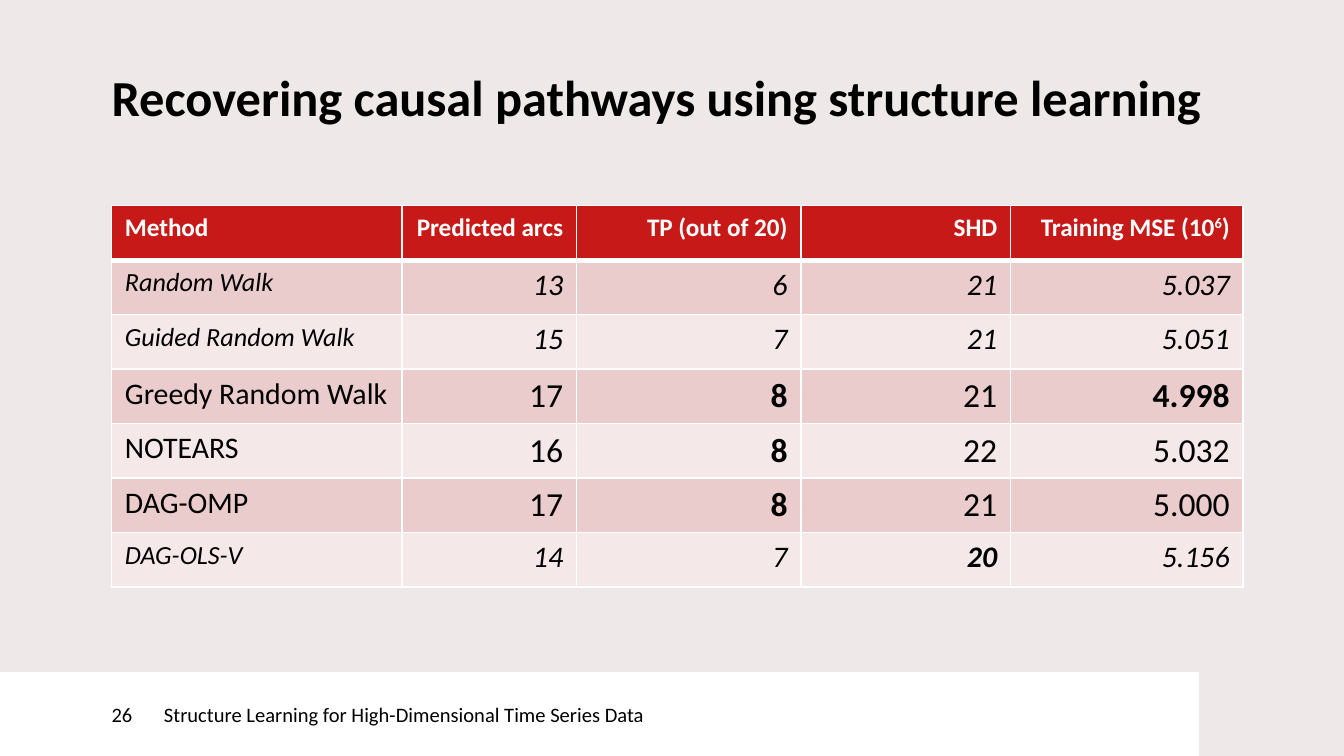
"""Build the slide that compares structure learning methods."""
from lxml.etree import SubElement
from pptx import Presentation
from pptx.dml.color import RGBColor
from pptx.enum.shapes import MSO_SHAPE as Preset
from pptx.enum.text import MSO_ANCHOR as Anchor, MSO_AUTO_SIZE as AutoSize, PP_ALIGN as Align
from pptx.oxml.ns import qn
from pptx.util import Inches, Pt

BLACK = RGBColor(0x00, 0x00, 0x00)
WHITE = RGBColor(0xFF, 0xFF, 0xFF)
BACKDROP = RGBColor(0xEE, 0xE8, 0xE8)
RED = RGBColor(0xC8, 0x19, 0x19)
BANDS = (RGBColor(0xEB, 0xCC, 0xCC), RGBColor(0xF5, 0xE8, 0xE8))

WIDTH = 10
HEIGHT = WIDTH * 9 / 16
MARGIN = 0.83
FOOTER_TOP, FOOTER_SPLIT, FOOTER_END = 5, 1.22, 8.92
COLUMN_WIDTHS = (2.16, 1.3, 1.67, 1.56, 1.73)
TABLE_TOP, TABLE_HEIGHT = 1.53, 2.84

HEADINGS = (
    (("Method", False),),
    (("Predicted arcs", False),),
    (("TP (out of 20)", False),),
    (("SHD", False),),
    (("Training MSE (10", False), ("6", True), (")", False)),
)
RESULTS = (
    ("Random Walk", "13", "6", "21", "5.037"),
    ("Guided Random Walk", "15", "7", "21", "5.051"),
    ("Greedy Random Walk", "17", "8", "21", "4.998"),
    ("NOTEARS", "16", "8", "22", "5.032"),
    ("DAG-OMP", "17", "8", "21", "5.000"),
    ("DAG-OLS-V", "14", "7", "20", "5.156"),
)
LEADING_METHODS = {"Greedy Random Walk", "NOTEARS", "DAG-OMP"}
BEST_SCORES = {"8", "20", "4.998"}


def add_run(paragraph, text, size, color=BLACK, bold=False, italic=False, raised=False):
    """Append one formatted run to a paragraph."""
    run = paragraph.add_run()
    run.text = text
    font = run.font
    font.name, font.size, font.bold, font.italic = "Calibri", Pt(size), bold, italic
    font.color.rgb = color
    if raised:
        run._r.get_or_add_rPr().set("baseline", "30000")


def clear_insets(frame, left=0):
    """Remove the insets of a text frame, except for a given left one."""
    frame.margin_left = Inches(left)
    frame.margin_top = frame.margin_right = frame.margin_bottom = 0


def add_title(slide, text):
    """Place and fill the title placeholder."""
    title = slide.shapes.title
    title.left, title.top = Inches(MARGIN), Inches(0.57)
    title.width, title.height = Inches(8.26), Inches(0.59)
    frame = title.text_frame
    clear_insets(frame)
    frame.auto_size = AutoSize.NONE
    frame.vertical_anchor = Anchor.TOP
    heading = frame.paragraphs[0]
    heading.alignment = Align.LEFT
    heading.line_spacing = Pt(27)
    add_run(heading, text, 27, bold=True)


def add_footer_part(slide, left, right, text, inset=0):
    """Add one white block of the footer band."""
    block = slide.shapes.add_shape(
        Preset.RECTANGLE, Inches(left), Inches(FOOTER_TOP),
        Inches(right - left), Inches(HEIGHT - FOOTER_TOP))
    block.shadow.inherit = False
    block.fill.solid()
    block.fill.fore_color.rgb = WHITE
    block.line.fill.background()
    frame = block.text_frame
    clear_insets(frame, inset)
    frame.word_wrap = True
    frame.vertical_anchor = Anchor.MIDDLE
    label = frame.paragraphs[0]
    label.alignment = Align.LEFT
    add_run(label, text, 11)


def style_cell(cell, fill, top=1, bottom=1):
    """Give a cell white borders and a solid fill."""
    properties = cell._tc.get_or_add_tcPr()
    for side, points in (("L", 1), ("R", 1), ("T", top), ("B", bottom)):
        border = SubElement(properties, qn(f"a:ln{side}"), w=str(Pt(points)))
        paint = SubElement(border, qn("a:solidFill"))
        SubElement(paint, qn("a:srgbClr"), val=str(WHITE))
    cell.fill.solid()
    cell.fill.fore_color.rgb = fill


def cell_paragraph(cell, column):
    """Return the cell's paragraph, right-aligned in score columns."""
    paragraph = cell.text_frame.paragraphs[0]
    paragraph.alignment = Align.RIGHT if column else Align.LEFT
    return paragraph


def add_results_table(slide):
    """Add the table of methods and their scores."""
    row_count = len(RESULTS) + 1
    table = slide.shapes.add_table(
        row_count, len(COLUMN_WIDTHS), Inches(MARGIN), Inches(TABLE_TOP),
        Inches(sum(COLUMN_WIDTHS)), Inches(TABLE_HEIGHT)).table
    for column, width in zip(table.columns, COLUMN_WIDTHS):
        column.width = Inches(width)
    for row in table.rows:
        row.height = Inches(TABLE_HEIGHT / row_count)
    for column, pieces in enumerate(HEADINGS):
        cell = table.cell(0, column)
        style_cell(cell, RED, bottom=3)
        heading = cell_paragraph(cell, column)
        for text, raised in pieces:
            add_run(heading, text, 13.5, WHITE, bold=True, raised=raised)
    for row, result in enumerate(RESULTS, start=1):
        leading = result[0] in LEADING_METHODS
        for column, text in enumerate(result):
            cell = table.cell(row, column)
            style_cell(cell, BANDS[(row - 1) % 2], top=3 if row == 1 else 1)
            size = 14 + 2 * leading + 2 * (column > 0)
            add_run(cell_paragraph(cell, column), text, size,
                    bold=text in BEST_SCORES, italic=not leading)


def main():
    """Assemble and save the slide."""
    deck = Presentation()
    deck.slide_width, deck.slide_height = Inches(WIDTH), Inches(HEIGHT)
    slide = deck.slides.add_slide(deck.slide_layouts[5])
    slide.background.fill.solid()
    slide.background.fill.fore_color.rgb = BACKDROP
    add_title(slide, "Recovering causal pathways using structure learning")
    add_footer_part(slide, FOOTER_SPLIT, FOOTER_END,
                    "Structure Learning for High-Dimensional Time Series Data")
    add_footer_part(slide, 0, FOOTER_SPLIT, "26", inset=MARGIN)
    add_results_table(slide)
    deck.save("out.pptx")


if __name__ == "__main__":
    main()
